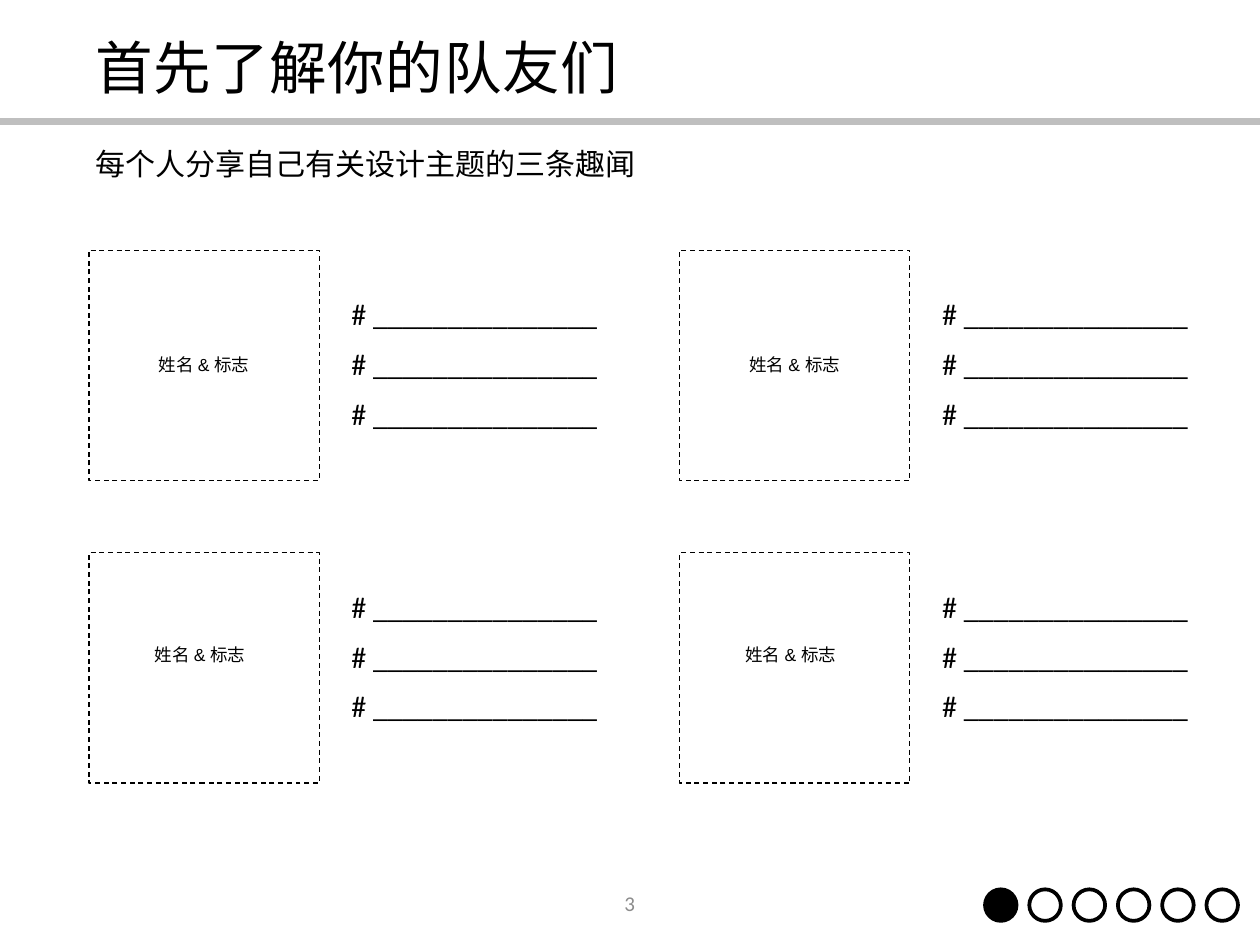
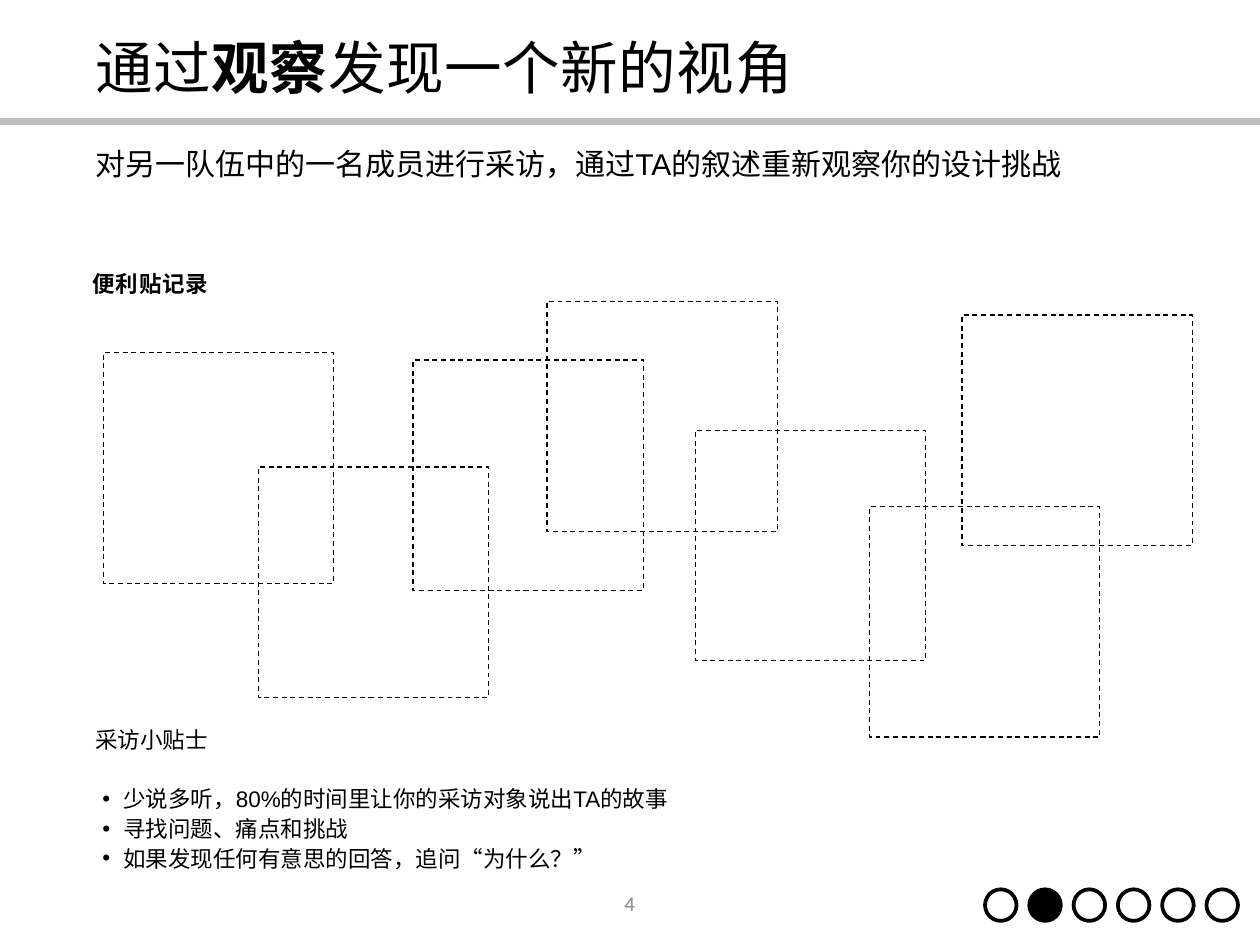
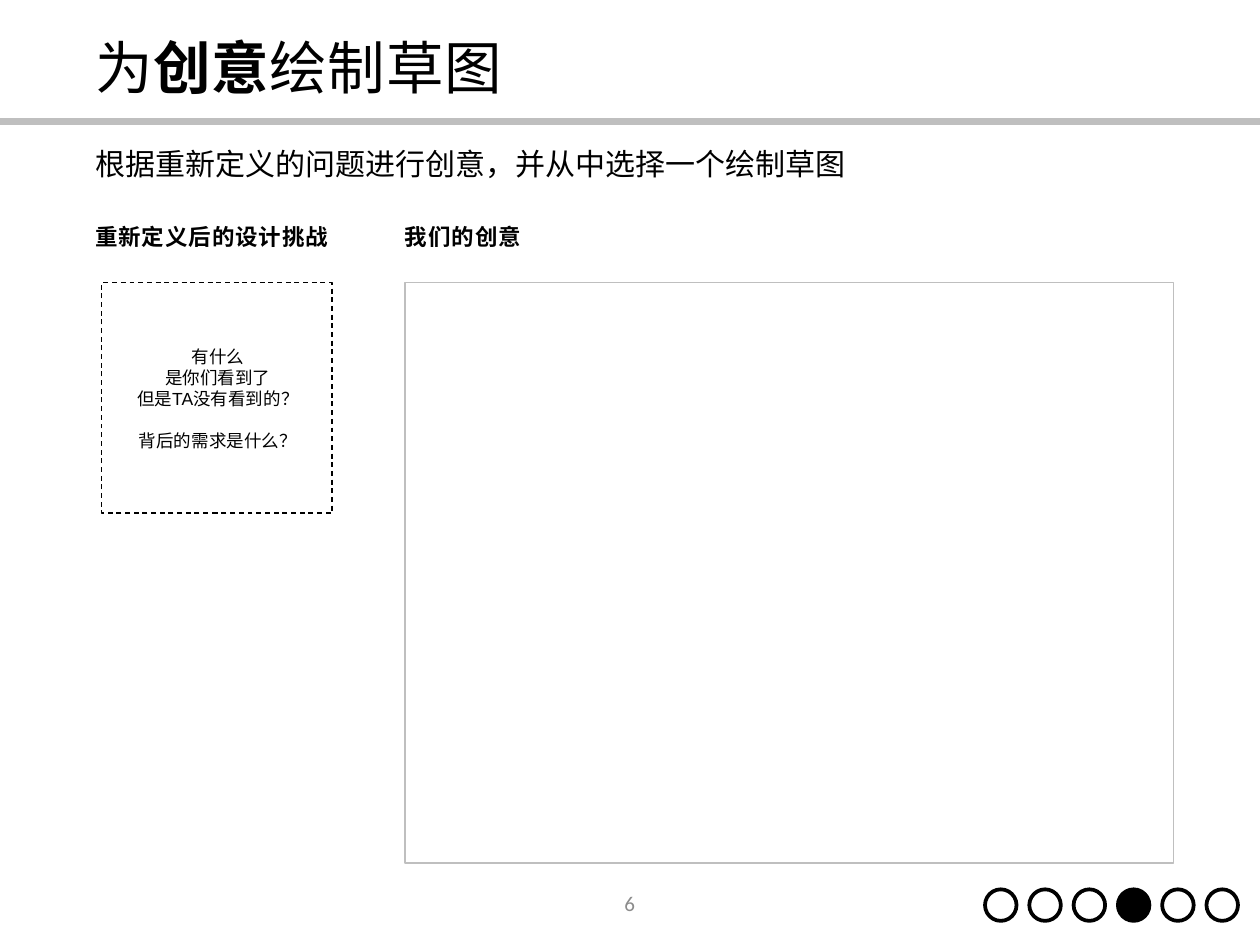
from dataclasses import dataclass, field
from typing import Any

from lxml.etree import SubElement
from pptx import Presentation
from pptx.dml.color import RGBColor
from pptx.enum.dml import MSO_LINE
from pptx.enum.lang import MSO_LANGUAGE_ID
from pptx.enum.shapes import MSO_CONNECTOR, MSO_SHAPE
from pptx.enum.text import MSO_ANCHOR, PP_ALIGN
from pptx.oxml.ns import qn
from pptx.util import Cm, Pt

BLACK, WHITE, GREY, PAGE_GREY = "000000", "FFFFFF", "BFBFBF", "8C8C8C"
SLIDE_WIDTH, SLIDE_HEIGHT = 35.56, 26.67
NOTE_SIZE = 6.5
STEP_COUNT, STEP_LEFT, STEP_PITCH, STEP_TOP, STEP_SIZE = 6, 27.8, 1.25, 25.1, 0.89


@dataclass(frozen=True)
class Box:
    """A place on the slide, in centimetres."""

    left: float
    top: float
    width: float
    height: float

    def lengths(self) -> tuple[Cm, Cm, Cm, Cm]:
        """Return left, top, width and height as lengths."""
        return Cm(self.left), Cm(self.top), Cm(self.width), Cm(self.height)


@dataclass(frozen=True)
class Style:
    """The look of one kind of text."""

    size: float
    font: str = "Arial"
    color: str = BLACK
    bold: bool = False
    tracking: int = 0
    paragraph: dict[str, Any] = field(default_factory=dict)
    frame: dict[str, Any] = field(default_factory=dict)


@dataclass(frozen=True)
class Line:
    """One paragraph: its text pieces, the bold one among them, and its own format."""

    pieces: tuple[str, ...]
    bold_piece: int = -1
    space_before: float = 0
    bullet: bool = False


@dataclass(frozen=True)
class Page:
    """The parts that every slide has."""

    number: str
    step: int
    title: Line
    title_font: str
    lead: str
    lead_font: str = "Arial"


MIDDLE = {"vertical_anchor": MSO_ANCHOR.MIDDLE}
CENTER = {"alignment": PP_ALIGN.CENTER}
NUMBER = Style(16.8, "Calibri", PAGE_GREY, paragraph=CENTER, frame=MIDDLE)
LABEL = Style(14, paragraph=CENTER)
FACT = Style(24, "Calibri", paragraph={"line_spacing": 0.9})
HEADING = Style(18, bold=True, tracking=70, paragraph={"line_spacing": 1.1})
NOTES_HEADING = Style(18, bold=True, tracking=70)
TIP = Style(18, paragraph={"line_spacing": 1.1})

TEAM = Page("3", 0, Line(("首先了解你的队友们",)), "Arial", "每个人分享自己有关设计主题的三条趣闻")
OBSERVE = Page("4", 1, Line(("通过", "观察", "发现一个新的视角"), 1), "Calibri",
               "对另一队伍中的一名成员进行采访，通过TA的叙述重新观察你的设计挑战")
SKETCH = Page("6", 3, Line(("为", "创意", "绘制草图"), 1), "Arial",
              "根据重新定义的问题进行创意，并从中选择一个绘制草图", "Calibri")

INTERVIEW_NOTES = [(2.92, 9.96), (7.29, 13.18), (15.44, 8.51), (24.54, 14.3),
                   (27.15, 8.89), (11.66, 10.16), (19.63, 12.14)]
INTERVIEW_TIPS = [
    Line(("采访小贴士",)),
    Line(("少说多听，80%的时间里让你的采访对象说出TA的故事",), space_before=23.6, bullet=True),
    Line(("寻找问题、痛点和挑战",), bullet=True),
    Line(("如果发现任何有意思的回答，追问“为什么？”",), bullet=True),
]
CHALLENGE_PROMPTS = [
    Line(("有什么",)),
    Line(("是你们看到了",)),
    Line(("但是TA没有看到的？",)),
    Line(("背后的需求是什么？",), space_before=16.8),
]


def rgb(value: str) -> RGBColor:
    """Turn a hex string into a colour."""
    return RGBColor.from_string(value)


def apply(target: Any, values: dict[str, Any]) -> None:
    """Set each named attribute on the target."""
    for name, value in values.items():
        setattr(target, name, value)


def add_bullet(paragraph: Any) -> None:
    """Give a paragraph a hanging round bullet."""
    properties = paragraph._p.get_or_add_pPr()
    properties.set("marL", str(Cm(0.79)))
    properties.set("indent", str(-Cm(0.59)))
    SubElement(properties, qn("a:buFont")).set("typeface", "Arial")
    SubElement(properties, qn("a:buChar")).set("char", "•")


def add_text(slide: Any, box: Box, lines: list[Line], style: Style) -> None:
    """Write lines of text in one style."""
    frame = slide.shapes.add_textbox(*box.lengths()).text_frame
    apply(frame, {"word_wrap": True} | style.frame)
    for index, line in enumerate(lines):
        paragraph = frame.add_paragraph() if index else frame.paragraphs[0]
        if line.bullet:
            add_bullet(paragraph)
        apply(paragraph, style.paragraph | {"space_before": Pt(line.space_before)})
        for position, piece in enumerate(line.pieces):
            run = paragraph.add_run()
            run.text = piece
            apply(run.font, {
                "name": style.font,
                "size": Pt(style.size),
                "bold": style.bold or position == line.bold_piece,
                "language_id": MSO_LANGUAGE_ID.SIMPLIFIED_CHINESE,
            })
            run.font.color.rgb = rgb(style.color)
            if style.tracking:
                run._r.get_or_add_rPr().set("spc", str(style.tracking))


def add_outline(slide: Any, box: Box, color: str = BLACK, width: float = 1,
                kind: MSO_SHAPE = MSO_SHAPE.RECTANGLE, fill: str | None = None) -> Any:
    """Draw an outlined shape, empty unless a fill is given."""
    shape = slide.shapes.add_shape(kind, *box.lengths())
    shape.shadow.inherit = False
    if fill:
        shape.fill.solid()
        shape.fill.fore_color.rgb = rgb(fill)
    else:
        shape.fill.background()
    shape.line.color.rgb = rgb(color)
    shape.line.width = Pt(width)
    return shape


def add_note(slide: Any, left: float, top: float) -> None:
    """Draw a dashed sticky note."""
    note = add_outline(slide, Box(left, top, NOTE_SIZE, NOTE_SIZE))
    note.line.dash_style = MSO_LINE.DASH


def add_steps(slide: Any, current: int) -> None:
    """Draw the progress circles with the current step filled."""
    for step in range(STEP_COUNT):
        box = Box(STEP_LEFT + step * STEP_PITCH, STEP_TOP, STEP_SIZE, STEP_SIZE)
        add_outline(slide, box, width=3, kind=MSO_SHAPE.OVAL,
                    fill=BLACK if step == current else WHITE)


def add_page(presentation: Any, page: Page) -> Any:
    """Add a slide with its rule, title, lead, number and steps."""
    slide = presentation.slides.add_slide(presentation.slide_layouts[6])
    rule = slide.shapes.add_connector(
        MSO_CONNECTOR.STRAIGHT, Cm(0), Cm(3.43), Cm(SLIDE_WIDTH), Cm(3.43))
    rule.line.color.rgb = rgb(GREY)
    rule.line.width = Pt(5.25)
    SubElement(rule._element.spPr, qn("a:effectLst"))
    title_style = Style(46, page.title_font, tracking=60,
                        paragraph={"line_spacing": 0.9}, frame=MIDDLE)
    lead_style = Style(24, page.lead_font, paragraph={"line_spacing": 0.9})
    add_text(slide, Box(2.44, 0.41, 30.66, 3.2), [page.title], title_style)
    add_text(slide, Box(2.44, 4.09, 30.66, 4.42), [Line((page.lead,))], lead_style)
    add_text(slide, Box(13.77, 24.79, 8, 1.42), [Line((page.number,))], NUMBER)
    add_steps(slide, page.step)
    return slide


def build_team(presentation: Any) -> None:
    """Build the slide for meeting the team."""
    slide = add_page(presentation, TEAM)
    facts = [Line(("# _______________",), space_before=14 if index else 0) for index in range(3)]
    for left in (2.51, 19.18):
        for top, label_left, label_top, facts_top in (
                (7.06, left, 9.88, 8.33), (15.6, left - 0.11, 18.06, 16.59)):
            add_note(slide, left, top)
            add_text(slide, Box(label_left, label_top, NOTE_SIZE, 0.86),
                     [Line(("姓名 & 标志",))], LABEL)
            add_text(slide, Box(left + 7.16, facts_top, 8.13, 4.42), facts, FACT)


def build_observe(presentation: Any) -> None:
    """Build the slide for interview notes."""
    slide = add_page(presentation, OBSERVE)
    add_text(slide, Box(2.36, 7.49, 4.5, 1.02), [Line(("便利贴记录",))], NOTES_HEADING)
    add_text(slide, Box(2.44, 20.29, 20.6, 4.45), INTERVIEW_TIPS, TIP)
    for left, top in INTERVIEW_NOTES:
        add_note(slide, left, top)


def build_sketch(presentation: Any) -> None:
    """Build the slide for sketching the idea."""
    slide = add_page(presentation, SKETCH)
    for left, heading in ((2.44, "重新定义后的设计挑战"), (11.18, "我们的创意")):
        add_text(slide, Box(left, 6.1, 7.72, 1.08), [Line((heading,))], HEADING)
    add_outline(slide, Box(11.43, 7.98, 21.69, 16.38), GREY)
    add_note(slide, 2.87, 7.98)
    add_text(slide, Box(2.9, 9.63, NOTE_SIZE, 3.25), CHALLENGE_PROMPTS, LABEL)


def main() -> None:
    """Build and save the presentation."""
    presentation = Presentation()
    apply(presentation, {"slide_width": Cm(SLIDE_WIDTH), "slide_height": Cm(SLIDE_HEIGHT)})
    for build in (build_team, build_observe, build_sketch):
        build(presentation)
    presentation.save("out.pptx")


if __name__ == "__main__":
    main()
